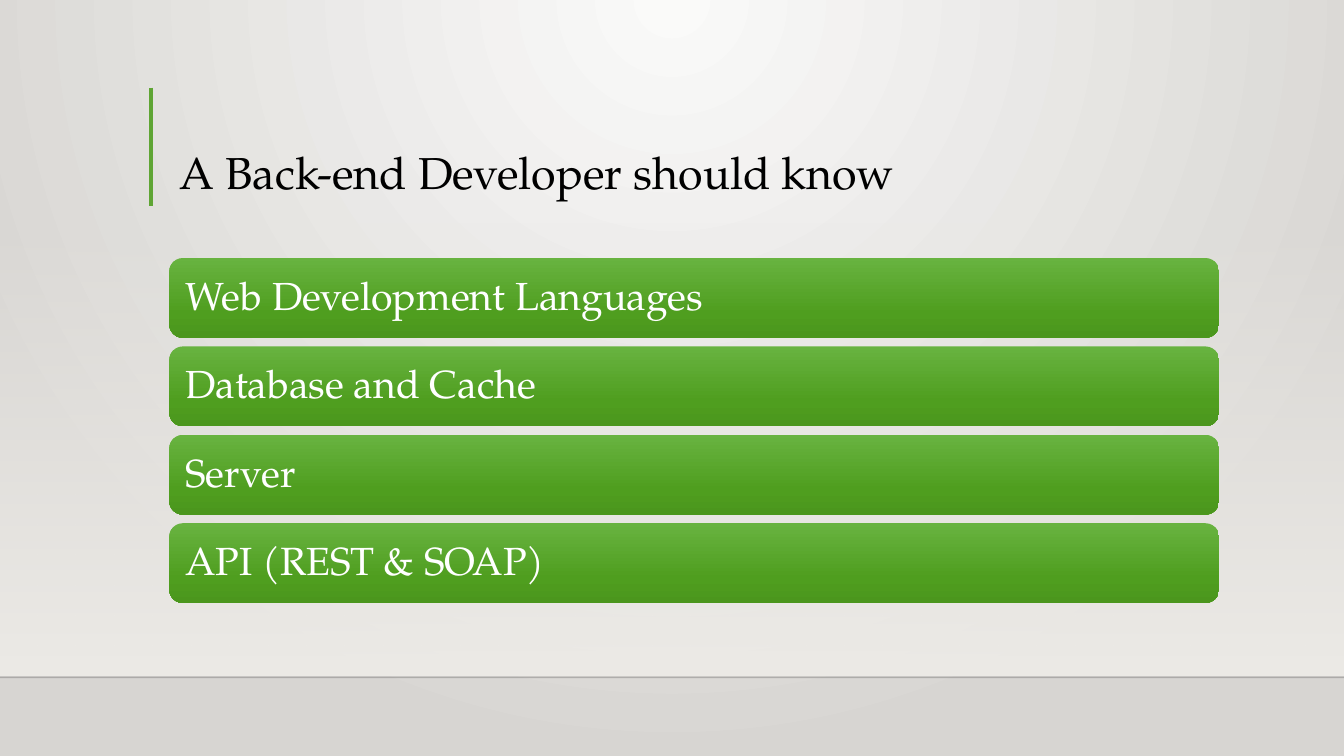
from lxml import etree
from pptx import Presentation
from pptx.dml.color import RGBColor
from pptx.enum.shapes import MSO_CONNECTOR as Connector, MSO_SHAPE as Shape
from pptx.enum.text import MSO_ANCHOR as Anchor, PP_ALIGN as Align
from pptx.oxml.ns import qn
from pptx.util import Inches, Pt

TITLE = "A Back-end Developer should know"
TOPICS = [
    "Web Development Languages",
    "Database and Cache",
    "Server",
    "API (REST & SOAP)",
]
FONT = "TeX Gyre Pagella"
WIDTH, HEIGHT = 13.33, 7.5
LEFT, CONTENT_WIDTH = 1.68, 10.41
BAR_TOP, BAR_HEIGHT, BAR_STEP = 2.56, 0.79, 0.877

# Gradient stops: position %, colour, opacity %
BACKDROP = [(0, "FAFAF9", 100), (100, "D7D5D2", 100)]
WALL = [(0, "EDEBE7", 0), (100, "EDEBE7", 100)]
GREEN = [(0, "68B340", 100), (69, "4F9E1F", 100), (100, "4B961D", 100)]


def color(hex_text):
    return RGBColor.from_string(hex_text)


def add_alpha(color_node, percent):
    etree.SubElement(color_node, qn("a:alpha"), val=str(percent * 1000))


def paint_gradient(fill, element, stops, focus=None):
    """Fill top to bottom, or in circles around focus (left, top, right, bottom %)."""
    fill.gradient()
    gradient = next(element.iter(qn("a:gradFill")))
    for child in list(gradient):
        gradient.remove(child)
    stop_list = etree.SubElement(gradient, qn("a:gsLst"))
    for position, hex_text, opacity in stops:
        stop = etree.SubElement(stop_list, qn("a:gs"), pos=str(position * 1000))
        node = etree.SubElement(stop, qn("a:srgbClr"), val=hex_text)
        if opacity < 100:
            add_alpha(node, opacity)
    if focus:
        circle = etree.SubElement(gradient, qn("a:path"), {"path": "circle"})
        edges = {side: str(value * 1000) for side, value in zip("ltrb", focus)}
        etree.SubElement(circle, qn("a:fillToRect"), edges)
    else:
        etree.SubElement(gradient, qn("a:lin"), ang="5400000", scaled="0")


def add_panel(slide, kind, left, top, width, height, stops):
    panel = slide.shapes.add_shape(
        kind, Inches(left), Inches(top), Inches(width), Inches(height))
    panel.shadow.inherit = False
    panel.line.fill.background()
    paint_gradient(panel.fill, panel.element, stops)
    return panel


def add_rule(slide, start, end, hex_text, weight, opacity=100):
    rule = slide.shapes.add_connector(
        Connector.STRAIGHT, *(Inches(value) for value in start + end))
    rule.line.color.rgb = color(hex_text)
    rule.line.width = Pt(weight)
    if opacity < 100:
        add_alpha(next(rule.element.iter(qn("a:srgbClr"))), opacity)
    etree.SubElement(rule.element.spPr, qn("a:effectLst"))


def write(box, text, size, hex_text, anchor, inset):
    frame = box.text_frame
    frame.word_wrap = True
    frame.vertical_anchor = anchor
    frame.margin_left = frame.margin_right = Inches(inset)
    frame.margin_top = frame.margin_bottom = Inches(0.05)
    para = frame.paragraphs[0]
    para.alignment = Align.LEFT
    para.line_spacing = 0.9
    span = para.add_run()
    span.text = text
    span.font.name = FONT
    span.font.size = Pt(size)
    span.font.color.rgb = color(hex_text)


def main():
    deck = Presentation()
    deck.slide_width, deck.slide_height = Inches(WIDTH), Inches(HEIGHT)
    page = deck.slides.add_slide(deck.slide_layouts[6])
    paint_gradient(page.background.fill, page.element, BACKDROP, (43, 0, 43, 100))

    add_panel(page, Shape.RECTANGLE, 0, 2.2, WIDTH, 4.5, WALL)
    add_rule(page, (0, 6.72), (WIDTH, 6.72), "000001", 1, opacity=20)
    add_rule(page, (1.5, 0.87), (1.5, 2.04), "5FA534", 3)

    title = page.shapes.add_textbox(
        Inches(LEFT), Inches(0.88), Inches(CONTENT_WIDTH), Inches(1.15))
    write(title, TITLE, size=32, hex_text="000000", anchor=Anchor.BOTTOM, inset=0.1)

    for index, topic in enumerate(TOPICS):
        bar = add_panel(page, Shape.ROUNDED_RECTANGLE, LEFT,
                        BAR_TOP + index * BAR_STEP, CONTENT_WIDTH, BAR_HEIGHT, GREEN)
        write(bar, topic, size=28, hex_text="FFFFFF", anchor=Anchor.MIDDLE, inset=0.12)

    deck.save("out.pptx")


if __name__ == "__main__":
    main()
